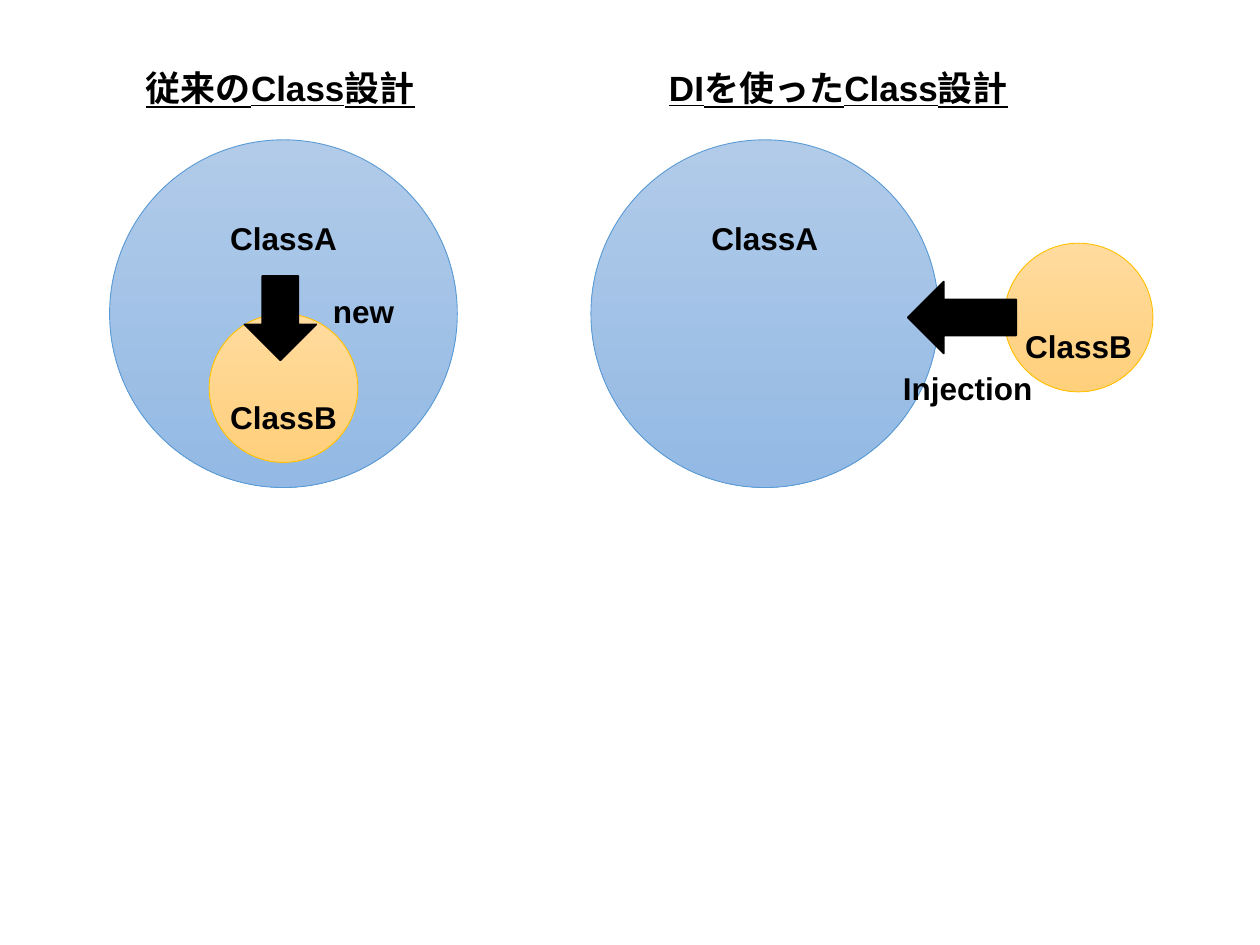
from pptx import Presentation
from pptx.dml.color import RGBColor
from pptx.enum.shapes import MSO_SHAPE
from pptx.enum.text import MSO_AUTO_SIZE, PP_ALIGN
from pptx.util import Inches, Pt

BLACK = RGBColor(0x00, 0x00, 0x00)
BLUE_LIGHT = RGBColor(0xB1, 0xCB, 0xE9)
BLUE_DARK = RGBColor(0x93, 0xB9, 0xE4)
BLUE_LINE = RGBColor(0x5B, 0x9B, 0xD5)
ORANGE_LIGHT = RGBColor(0xFF, 0xDB, 0x9E)
ORANGE_DARK = RGBColor(0xFF, 0xD0, 0x7C)
ORANGE_LINE = RGBColor(0xFF, 0xC0, 0x00)

BLUE = (BLUE_LIGHT, BLUE_DARK, BLUE_LINE)
ORANGE = (ORANGE_LIGHT, ORANGE_DARK, ORANGE_LINE)
CLASS_A_SIZE = 2.76
CLASS_B_SIZE = 1.18
CLASS_A_TOP = 1.11
CLASS_A_LABEL_DROP = 0.58
CLASS_B_LABEL_DROP = 0.62

DESIGNS = [
    {
        "title": ("従来のClass設計", 0.96, 2.53),
        "class_a_left": 0.87,
        "class_b": (1.66, 2.49),
        "arrow": (1.94, 2.19, 0.57, 0.67, 0),
        "action": ("new", 2.48, 2.27, 0.81),
    },
    {
        "title": ("DIを使ったClass設計", 5.08, 3.15),
        "class_a_left": 4.69,
        "class_b": (7.97, 1.93),
        "arrow": (7.35, 2.09, 0.57, 0.86, 90),
        "action": ("Injection", 6.99, 2.88, 1.38),
    },
]


def add_text(slide, text, left, top, width, height=0.4, size=18, underline=None):
    box = slide.shapes.add_textbox(Inches(left), Inches(top), Inches(width), Inches(height))
    frame = box.text_frame
    frame.word_wrap = False
    frame.auto_size = MSO_AUTO_SIZE.SHAPE_TO_FIT_TEXT
    paragraph = frame.paragraphs[0]
    paragraph.alignment = PP_ALIGN.CENTER
    run = paragraph.add_run()
    run.text = text
    run.font.name = "Arial"
    run.font.size = Pt(size)
    run.font.bold = True
    run.font.underline = underline
    run.font.color.rgb = BLACK


def add_circle(slide, left, top, size, colors):
    shape = slide.shapes.add_shape(
        MSO_SHAPE.OVAL, Inches(left), Inches(top), Inches(size), Inches(size))
    shape.shadow.inherit = False
    shape.fill.gradient()
    shape.fill.gradient_angle = 270
    start, end, line_color = colors
    for stop, color in zip(shape.fill.gradient_stops, (start, end)):
        stop.color.rgb = color
    shape.line.color.rgb = line_color
    shape.line.width = Pt(0.5)


def add_arrow(slide, left, top, width, height, rotation):
    shape = slide.shapes.add_shape(
        MSO_SHAPE.DOWN_ARROW, Inches(left), Inches(top), Inches(width), Inches(height))
    shape.shadow.inherit = False
    shape.rotation = rotation
    shape.fill.solid()
    shape.fill.fore_color.rgb = BLACK
    shape.line.color.rgb = BLACK
    shape.line.width = Pt(1)


def add_design(slide, design):
    class_a_left = design["class_a_left"]
    class_b_left, class_b_top = design["class_b"]
    label_left = class_a_left + (CLASS_A_SIZE - CLASS_B_SIZE) / 2
    add_circle(slide, class_a_left, CLASS_A_TOP, CLASS_A_SIZE, BLUE)
    add_circle(slide, class_b_left, class_b_top, CLASS_B_SIZE, ORANGE)
    add_arrow(slide, *design["arrow"])
    add_text(slide, "ClassA", label_left, CLASS_A_TOP + CLASS_A_LABEL_DROP, CLASS_B_SIZE)
    add_text(slide, "ClassB", class_b_left, class_b_top + CLASS_B_LABEL_DROP, CLASS_B_SIZE)
    add_text(slide, *design["action"])
    title, left, width = design["title"]
    add_text(slide, title, left, 0.48, width, height=0.44, size=20, underline=True)


def main():
    presentation = Presentation()
    presentation.slide_width = Inches(10)
    presentation.slide_height = Inches(7.5)
    slide = presentation.slides.add_slide(presentation.slide_layouts[6])
    for design in DESIGNS:
        add_design(slide, design)
    presentation.save("out.pptx")


if __name__ == "__main__":
    main()
